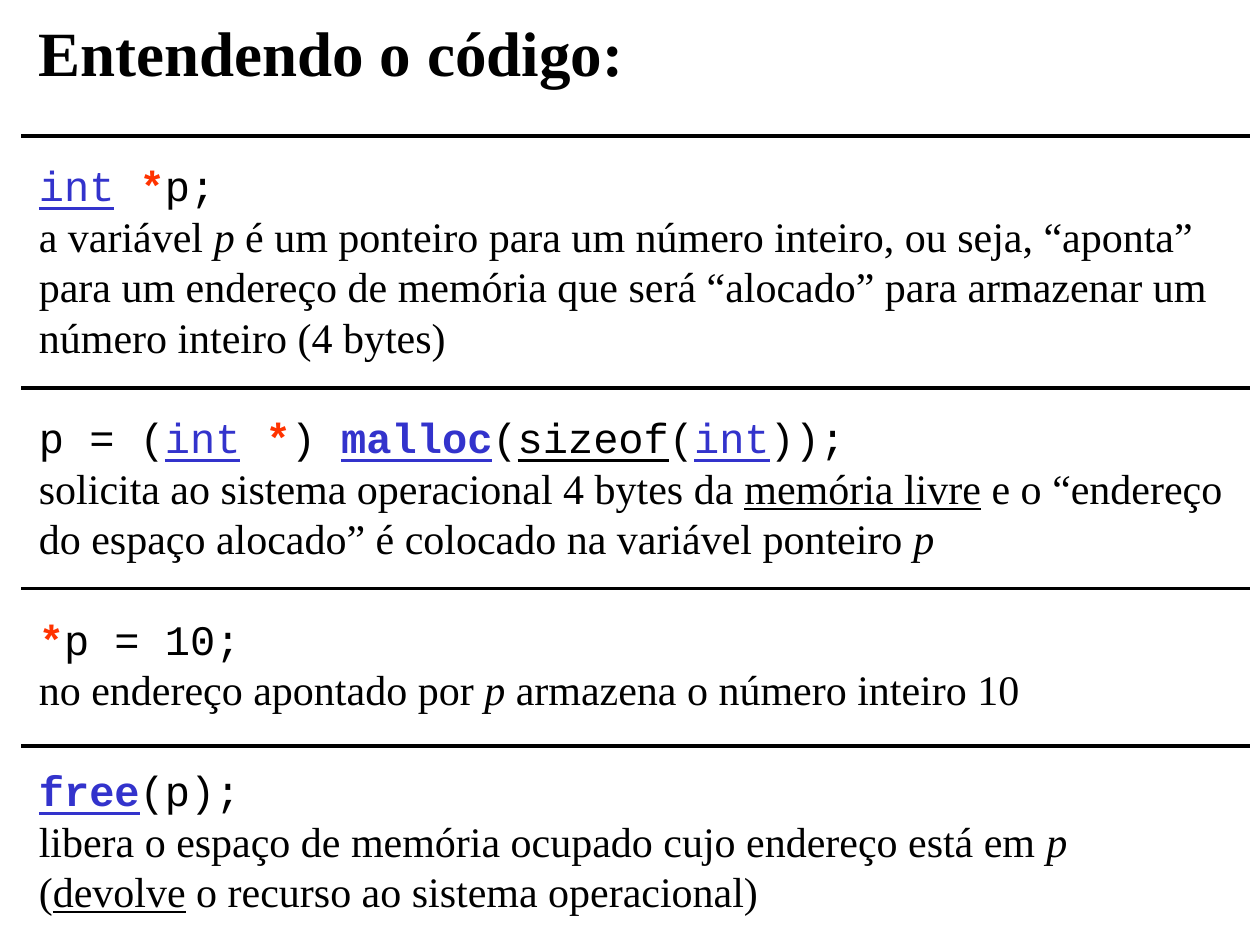
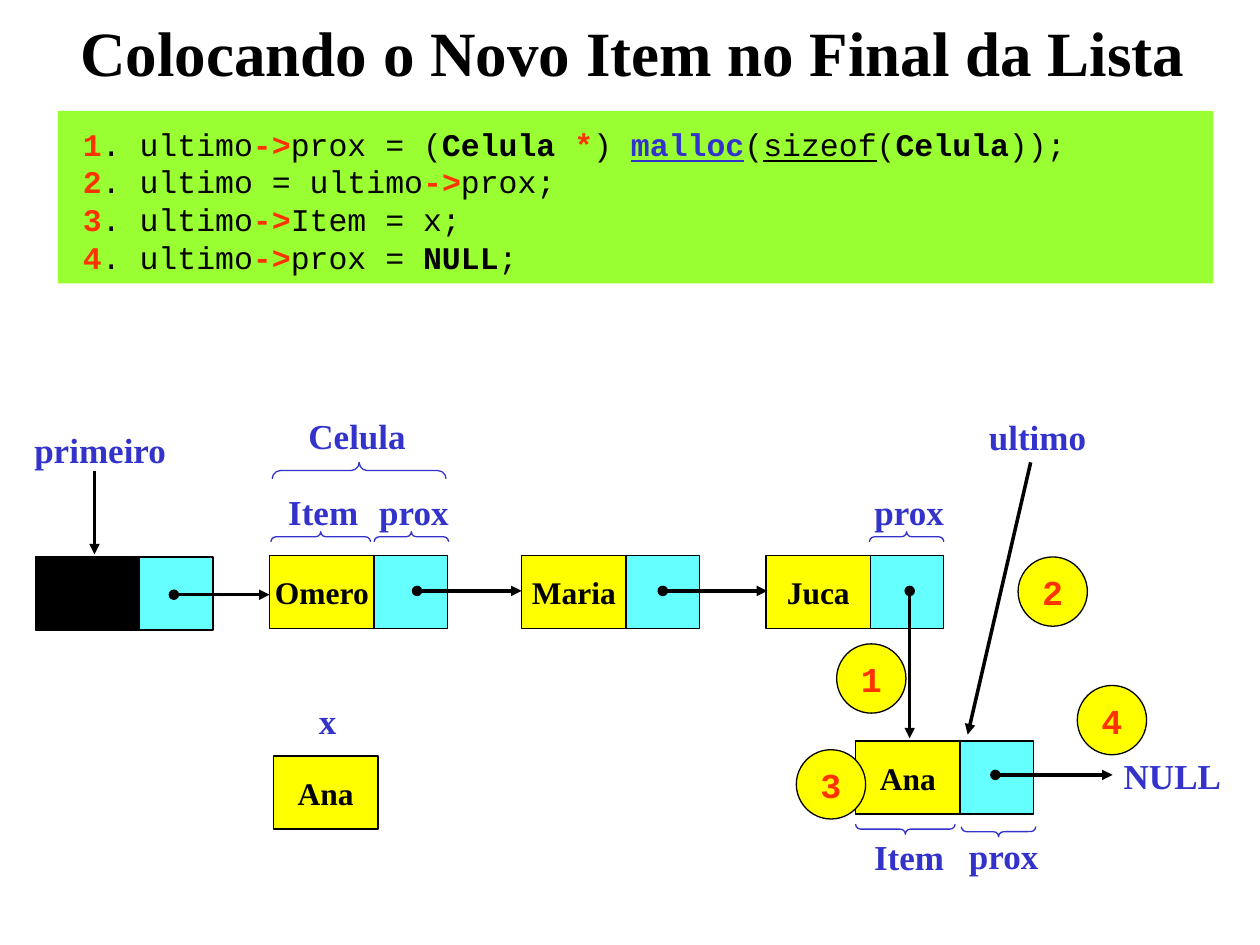
from dataclasses import dataclass

from lxml import etree
from pptx import Presentation
from pptx.dml.color import RGBColor
from pptx.enum import shapes, text
from pptx.oxml import ns
from pptx.util import Inches, Pt


@dataclass(frozen=True)
class Theme:
    """Colours, fonts and type sizes shared by the slides."""

    black: str = "000000"
    blue: str = "3333CC"
    red: str = "FF3300"
    yellow: str = "FFFF00"
    cyan: str = "66FFFF"
    green: str = "99FF33"
    serif: str = "Times New Roman"
    mono: str = "Courier New"
    title: int = 36
    body: int = 24
    label: int = 20
    small: int = 18
    thick: float = 2
    thin: float = 0.75


T = Theme()
STYLES = {
    "": {},
    "b": {"bold": True},
    "i": {"italic": True},
    "u": {"underline": True},
    "type": {"color": T.blue, "underline": True},
    "call": {"color": T.blue, "underline": True, "bold": True},
    "op": {"color": T.red, "bold": True},
}
ITEM_W, PROX_W, CELL_H = 0.83, 0.58, 0.58
STEP_D = 0.55


def rgb(color):
    """Return the colour for a hex string."""
    return RGBColor.from_string(color)


def write(p, runs, size=T.body, font=T.serif, color=T.black, bold=False,
          align=text.PP_ALIGN.LEFT, leading=None):
    """Fill a paragraph with plain text or with (text, style) runs."""
    p.alignment = align
    p.line_spacing = Pt(leading or round(size * 1.2, 1))
    for words, style in [(runs, "")] if isinstance(runs, str) else runs:
        look = {"color": color, "bold": bold, **STYLES[style]}
        r = p.add_run()
        r.text = words
        r.font.size, r.font.name = Pt(size), font
        r.font.color.rgb = rgb(look["color"])
        r.font.bold = look["bold"]
        r.font.italic = look.get("italic", False)
        r.font.underline = look.get("underline", False)


def add_text(s, box, paragraphs, **fmt):
    """Add a text box; each paragraph is (runs, its own format)."""
    tf = s.shapes.add_textbox(*map(Inches, box)).text_frame
    tf.word_wrap = False
    for i, (runs, own) in enumerate(paragraphs):
        p = tf.add_paragraph() if i else tf.paragraphs[0]
        write(p, runs, **{**fmt, **own})


def add_title(s, box, words):
    """Add the slide title."""
    add_text(s, box, [(words, {})], size=T.title, bold=True, leading=35)


def add_label(s, box, words):
    """Add a centred blue label."""
    add_text(s, box, [(words, {})], size=T.label, color=T.blue, bold=True,
             align=text.PP_ALIGN.CENTER)


def add_shape(s, kind, box, fill=None, line=T.black, words="", **fmt):
    """Add a flat preset shape with optional centred text."""
    sp = s.shapes.add_shape(kind, *map(Inches, box))
    sp.shadow.inherit = False
    if fill:
        sp.fill.solid()
        sp.fill.fore_color.rgb = rgb(fill)
    else:
        sp.fill.background()
    if line:
        sp.line.color.rgb = rgb(line)
        sp.line.width = Pt(T.thin)
    else:
        sp.line.fill.background()
    if words:
        tf = sp.text_frame
        tf.word_wrap = False
        tf.vertical_anchor = text.MSO_ANCHOR.MIDDLE
        write(tf.paragraphs[0], words, bold=True, align=text.PP_ALIGN.CENTER, **fmt)
    return sp


def add_line(s, start, end, head=None, tail=None):
    """Add a thick straight line with optional ends."""
    c = s.shapes.add_connector(shapes.MSO_CONNECTOR.STRAIGHT,
                               *map(Inches, (*start, *end)))
    c.line.color.rgb = rgb(T.black)
    c.line.width = Pt(T.thick)
    ln = c.line._get_or_add_ln()
    for tag, kind in (("a:headEnd", head), ("a:tailEnd", tail)):
        if kind:
            etree.SubElement(ln, ns.qn(tag), type=kind)
    etree.SubElement(c._element.spPr, ns.qn("a:effectLst"))


def add_brace(s, box, up=True):
    """Add a horizontal brace filling the box, pointing up or down."""
    x, y, w, h = box
    sp = add_shape(s, shapes.MSO_SHAPE.LEFT_BRACE,
                   (x + (w - h) / 2, y + (h - w) / 2, h, w), line=T.blue)
    sp.adjustments[0] = 0.5
    sp.rotation = 90 if up else 270


def add_item(s, x, y, name, fill=T.yellow):
    """Add the item part of a cell."""
    add_shape(s, shapes.MSO_SHAPE.RECTANGLE, (x, y, ITEM_W, CELL_H), fill,
              words=name, size=T.small)


def add_cell(s, x, y, name="", fill=T.yellow):
    """Add a list cell: the item and its prox field."""
    add_shape(s, shapes.MSO_SHAPE.RECTANGLE, (x + ITEM_W, y, PROX_W, CELL_H), T.cyan)
    add_item(s, x, y, name, fill)


def add_link(s, start, end):
    """Add a pointer that leaves a prox field."""
    add_line(s, start, end, head="oval", tail="triangle")


def add_step(s, x, y, number):
    """Add a numbered circle for one line of the code."""
    add_shape(s, shapes.MSO_SHAPE.OVAL, (x, y, STEP_D, STEP_D), T.yellow, words=number,
              size=T.label, font=T.mono, color=T.red)


def add_explanation(s, box, code, lines):
    """Add a line of code followed by what it does."""
    paragraphs = [(code, {"font": T.mono, "leading": 26})]
    paragraphs += [(line, {}) for line in lines]
    add_text(s, box, paragraphs)


def code_slide(prs):
    """Build the slide that explains the code."""
    s = prs.slides.add_slide(prs.slide_layouts[6])
    add_title(s, (0.21, 0.17, 9.59, 0.6), "Entendendo o código:")
    sections = [
        (1.08, 1.26, [("int", "type"), (" ", ""), ("*", "op"), ("p;", "")],
         [[("a variável ", ""), ("p", "i"),
           (" é um ponteiro para um número inteiro, ou seja, “aponta”", "")],
          "para um endereço de memória que será “alocado” para armazenar um",
          "número inteiro (4 bytes)"]),
        (3.08, 3.26,
         [("p = (", ""), ("int", "type"), (" ", ""), ("*", "op"), (") ", ""),
          ("malloc", "call"), ("(", ""), ("sizeof", "u"), ("(", ""),
          ("int", "type"), ("));", "")],
         [[("solicita ao sistema operacional 4 bytes da ", ""),
           ("memória livre", "u"), (" e o “endereço", "")],
          [("do espaço alocado” é colocado na variável ponteiro ", ""), ("p", "i")]]),
        (4.67, 4.86, [("*", "op"), ("p = 10;", "")],
         [[("no endereço apontado por ", ""), ("p", "i"),
           (" armazena o número inteiro 10", "")]]),
        (5.92, 6.06, [("free", "call"), ("(p);", "")],
         [[("libera o espaço de memória ocupado cujo endereço está em ", ""), ("p", "i")],
          [("(", ""), ("devolve", "u"), (" o recurso ao sistema operacional)", "")]]),
    ]
    for rule_y, top, code, lines in sections:
        add_line(s, (0.17, rule_y), (9.92, rule_y))
        add_explanation(s, (0.21, top, 9.75, 0.5 + 0.4 * len(lines)), code, lines)


def add_code_panel(s, box):
    """Add the green panel with the four numbered statements."""
    x, y, w, h = box
    add_shape(s, shapes.MSO_SHAPE.RECTANGLE, box, T.green, line=None)
    arrow = ("->", "op")
    statements = [
        [(". ultimo", ""), arrow, ("prox = (", ""), ("Celula ", "b"), ("*", "op"),
         (") ", ""), ("malloc", "call"), ("(", ""), ("sizeof", "u"), ("(", ""),
         ("Celula", "b"), ("));", "")],
        [(". ultimo = ultimo", ""), arrow, ("prox;", "")],
        [(". ultimo", ""), arrow, ("Item = x;", "")],
        [(". ultimo", ""), arrow, ("prox = ", ""), ("NULL", "b"), (";", "")],
    ]
    numbered = [([(str(n), "op"), *runs], {}) for n, runs in enumerate(statements, 1)]
    add_text(s, (x + 0.1, y + 0.06, w - 0.2, h - 0.07), numbered,
             size=T.small, font=T.mono)


def add_list(s, x, y):
    """Add the linked list, from its head cell to the cell of Juca."""
    add_cell(s, x, y + 0.01, fill=T.black)
    for dx, name in ((1.86, "Omero"), (3.86, "Maria"), (5.8, "Juca")):
        add_cell(s, x + dx, y, name)
    for dx, dy, length in ((1.1, 0.31, 0.76), (3.03, 0.28, 0.83), (4.98, 0.28, 0.83)):
        add_link(s, (x + dx, y + dy), (x + dx + length, y + dy))
    for dx, dy, w, words in ((-0.11, -1.06, 1.25, "primeiro"), (2.07, -1.17, 0.97, "Celula"),
                             (1.79, -0.57, 0.99, "Item"), (2.63, -0.57, 0.75, "prox"),
                             (6.56, -0.57, 0.75, "prox")):
        add_label(s, (x + dx, y + dy, w, 0.44), words)
    add_brace(s, (x + 1.88, y - 0.74, 1.38, 0.13))
    for dx, w in ((1.87, 0.79), (2.69, 0.59), (6.62, 0.59)):
        add_brace(s, (x + dx, y - 0.19, w, 0.08))
    add_line(s, (x + 0.47, y - 0.67), (x + 0.47, y - 0.01), tail="triangle")


def add_new_cell(s, x, y):
    """Add the new last cell with its field names and its NULL pointer."""
    add_cell(s, x, y, "Ana")
    add_brace(s, (x, y + 0.66, 0.79, 0.08), up=False)
    add_brace(s, (x + 0.84, y + 0.68, 0.59, 0.08), up=False)
    add_label(s, (x - 0.07, y + 0.7, 0.99, 0.44), "Item")
    add_label(s, (x + 0.68, y + 0.69, 0.99, 0.44), "prox")
    add_label(s, (x + 2.03, y + 0.06, 0.97, 0.44), "NULL")
    add_link(s, (x + 1.11, y + 0.27), (x + 2.04, y + 0.27))


def list_slide(prs):
    """Build the slide that appends an item to the list."""
    s = prs.slides.add_slide(prs.slide_layouts[6])
    add_code_panel(s, (0.46, 0.88, 9.17, 1.37))
    add_title(s, (0.54, 0.17, 9.3, 0.58), "Colocando o Novo Item no Final da Lista")
    add_list(s, 0.28, 4.41)
    add_new_cell(s, 6.79, 5.88)
    add_label(s, (7.75, 3.25, 0.97, 0.44), "ultimo")
    add_line(s, (8.18, 3.67), (7.68, 5.83), tail="triangle")
    add_link(s, (7.22, 4.69), (7.22, 5.86))
    add_label(s, (2.43, 5.5, 0.34, 0.44), "x")
    add_item(s, 2.17, 6, "Ana")
    steps = ((6.64, 5.11), (8.08, 4.42), (6.32, 5.95), (8.55, 5.44))
    for number, (x, y) in enumerate(steps, 1):
        add_step(s, x, y, str(number))


def main():
    """Build and save the presentation."""
    prs = Presentation()
    prs.slide_width, prs.slide_height = Inches(10), Inches(7.5)
    code_slide(prs)
    list_slide(prs)
    prs.save("out.pptx")


if __name__ == "__main__":
    main()
